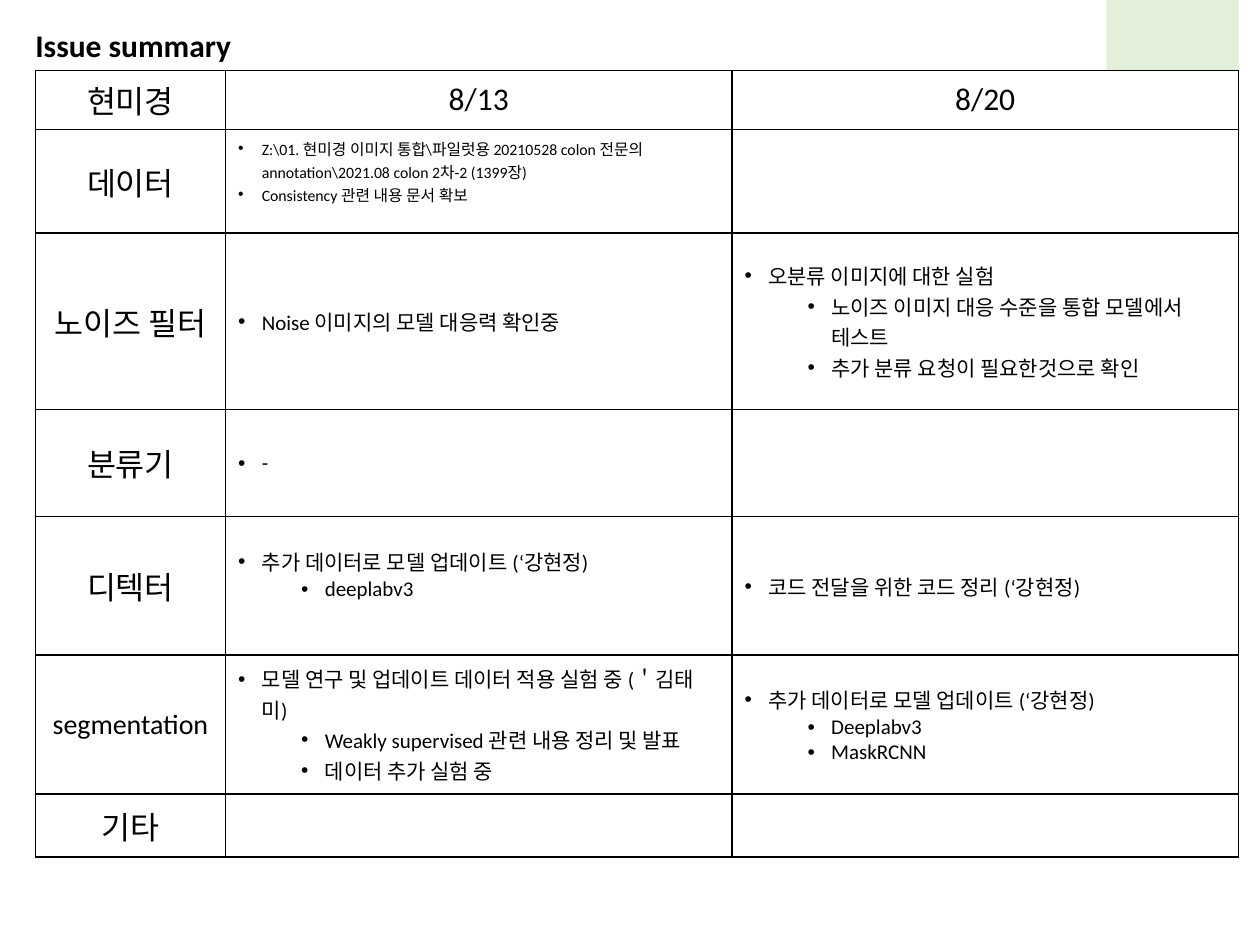
"""Build the issue summary slide with its two stacked tables."""
from lxml import etree
from pptx import Presentation
from pptx.dml.color import RGBColor
from pptx.enum.shapes import MSO_SHAPE
from pptx.enum.text import MSO_ANCHOR, MSO_AUTO_SIZE, PP_ALIGN
from pptx.oxml.ns import qn
from pptx.util import Pt

RECT = MSO_SHAPE.RECTANGLE
TOP, MIDDLE = MSO_ANCHOR.TOP, MSO_ANCHOR.MIDDLE
LEFT, CENTER = PP_ALIGN.LEFT, PP_ALIGN.CENTER
NO_AUTOFIT = MSO_AUTO_SIZE.NONE
BLACK, WHITE, PALE_GREEN = "000000", "FFFFFF", "E2F0D9"
COLUMNS = [108.7, 289.4, 289.4]


def rgb(value):
    return RGBColor.from_string(value)


def label(text, size=18):
    return dict(items=[text], size=size, align=CENTER)


def notes(*items, size=12, bottom=3.6):
    return dict(items=items, size=size, bullet=True, bottom=bottom)


def write(p, text, size=12, bold=False, align=LEFT, bullet=False, level=0):
    if bullet:
        p.level = level
        pPr = p._p.get_or_add_pPr()
        pPr.set("marL", str(Pt(13.5 + 36 * level)))
        pPr.set("indent", str(Pt(-13.5)))
        etree.SubElement(pPr, qn("a:buFont")).set("typeface", "Arial")
        etree.SubElement(pPr, qn("a:buChar")).set("char", "•")
    p.alignment = align
    r = p.add_run()
    r.text = text
    r.font.name = "Calibri"
    r.font.size = Pt(size)
    r.font.bold = bold
    r.font.color.rgb = rgb(BLACK)


class Builder:
    def __init__(self, slide, border=BLACK, fill=WHITE, line=1):
        self.slide = slide
        self.border, self.fill, self.line = border, fill, line

    def title(self, text, x, y, w, h):
        sp = self.slide.shapes.title
        sp.left, sp.top, sp.width, sp.height = Pt(x), Pt(y), Pt(w), Pt(h)
        tf = sp.text_frame
        tf.auto_size = NO_AUTOFIT
        tf.vertical_anchor = TOP
        write(tf.paragraphs[0], text, size=18, bold=True)

    def rect(self, x, y, w, h, fill):
        sp = self.slide.shapes.add_shape(RECT, Pt(x), Pt(y), Pt(w), Pt(h))
        sp.shadow.inherit = False
        sp.fill.solid()
        sp.fill.fore_color.rgb = rgb(fill)
        sp.line.fill.background()

    def borders(self, cell):
        tcPr = cell._tc.get_or_add_tcPr()
        for i, side in enumerate(("lnL", "lnR", "lnT", "lnB")):
            ln = etree.Element(qn(f"a:{side}"), w=str(Pt(self.line)))
            fill = etree.SubElement(ln, qn("a:solidFill"))
            etree.SubElement(fill, qn("a:srgbClr")).set("val", self.border)
            tcPr.insert(i, ln)

    def cell(self, cell, items=(), bottom=3.6, **fmt):
        cell.fill.solid()
        cell.fill.fore_color.rgb = rgb(self.fill)
        cell.vertical_anchor = MIDDLE
        cell.margin_bottom = Pt(bottom)
        self.borders(cell)
        tf = cell.text_frame
        for i, item in enumerate(items):
            p = tf.paragraphs[0] if i == 0 else tf.add_paragraph()
            text, level = item if isinstance(item, tuple) else (item, 0)
            write(p, text, level=level, **fmt)

    def table(self, x, y, heights, rows):
        frame = self.slide.shapes.add_table(
            len(rows), len(COLUMNS), Pt(x), Pt(y), Pt(sum(COLUMNS)), Pt(sum(heights)))
        table = frame.table
        table.first_row = table.horz_banding = False
        for column, width in zip(table.columns, COLUMNS):
            column.width = Pt(width)
        for row, height, contents in zip(table.rows, heights, rows):
            row.height = Pt(height)
            for cell, content in zip(row.cells, contents):
                self.cell(cell, **content)


def main():
    prs = Presentation()
    prs.slide_width, prs.slide_height = Pt(720), Pt(540)
    s = Builder(prs.slides.add_slide(prs.slide_layouts[5]))
    s.rect(632.2, -10.8, 75.6, 103.7, PALE_GREEN)
    s.title("Issue summary", 13, 11.5, 225.4, 28.8)
    s.table(20.2, 40.3, [33.8, 59], [
        [label("현미경"), label("8/13"), label("8/20")],
        [label("데이터"),
         notes("Z:\\01. 현미경 이미지 통합\\파일럿용 20210528 colon 전문의 "
               "annotation\\2021.08 colon 2차-2 (1399장)",
               "Consistency 관련 내용 문서 확보", size=9, bottom=15),
         {}],
    ])
    s.table(20.2, 133.2, [100.8, 61.2, 79.2, 79.2, 36], [
        [label("노이즈 필터"),
         notes("Noise 이미지의 모델 대응력 확인중"),
         notes("오분류 이미지에 대한 실험",
               ("노이즈 이미지 대응 수준을 통합 모델에서 테스트", 1),
               ("추가 분류 요청이 필요한것으로 확인", 1))],
        [label("분류기"), notes("-"), {}],
        [label("디텍터"),
         notes("추가 데이터로 모델 업데이트 (‘강현정)", ("deeplabv3", 1), bottom=17),
         notes("코드 전달을 위한 코드 정리 (‘강현정)")],
        [label("segmentation", size=16),
         notes("모델 연구 및 업데이트 데이터 적용 실험 중 (＇김태미)",
               ("Weakly supervised 관련 내용 정리 및 발표", 1),
               ("데이터 추가 실험 중", 1)),
         notes("추가 데이터로 모델 업데이트 (‘강현정)",
               ("Deeplabv3", 1), ("MaskRCNN", 1))],
        [label("기타"), {}, {}],
    ])
    prs.save("out.pptx")


if __name__ == "__main__":
    main()
